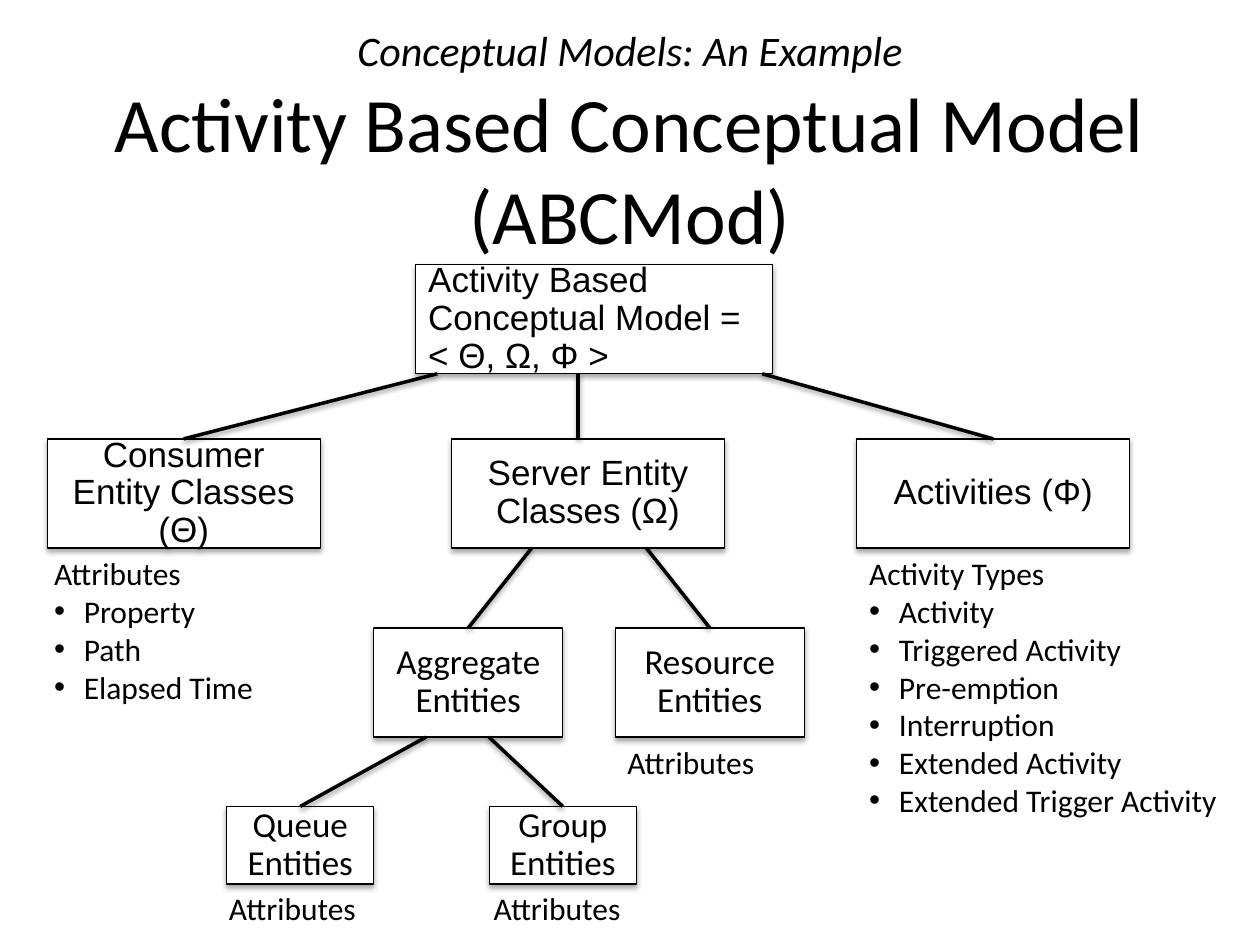
from lxml.etree import SubElement
from pptx import Presentation
from pptx.dml.color import RGBColor
from pptx.enum.shapes import MSO_CONNECTOR, MSO_SHAPE
from pptx.enum.text import MSO_ANCHOR, MSO_AUTO_SIZE, PP_ALIGN
from pptx.oxml.ns import qn
from pptx.util import Pt

COLORS = {"ink": "000000", "paper": "FFFFFF"}
TITLE = [("Conceptual Models: An Example", 24, True),
         ("Activity Based Conceptual Model (ABCMod)", 44, False)]

ROWS = [
    (151.2, 204, 62.4, "Arial", [
        ("root", 237.6, "Activity Based Conceptual Model = < Θ, Ω, Φ >")]),
    (250.8, 156, 62.4, "Arial", [
        ("consumer", 27, "Consumer Entity Classes (Θ)"),
        ("server", 258, "Server Entity Classes (Ω)"),
        ("activity", 489.6, "Activities (Φ)")]),
    (358.8, 108, 62.4, "Calibri", [
        ("aggregate", 213.6, "Aggregate Entities"),
        ("resource", 351.6, "Resource Entities")]),
    (460.8, 84, 44.4, "Calibri", [
        ("queue", 129.6, "Queue Entities"),
        ("group", 279.6, "Group Entities")]),
]

LISTS = [
    (23.8, 313.2, 129.6, "Attributes", ["Property", "Path", "Elapsed Time"]),
    (123.8, 504.7, 88.6, "Attributes", []),
    (275, 504.7, 88.6, "Attributes", []),
    (351.4, 421.2, 88.6, "Attributes", []),
    (489.6, 313.2, 215.3, "Activity Types",
     ["Activity", "Triggered Activity", "Pre-emption", "Interruption",
      "Extended Activity", "Extended Trigger Activity"]),
]

LINKS = [
    ("root", "consumer", 249.8, True),
    ("root", "server", 330.4, False),
    ("root", "activity", 435.6, True),
    ("server", "aggregate", 303.8, True),
    ("server", "resource", 369.4, True),
    ("aggregate", "queue", 243.4, True),
    ("aggregate", "group", 279.4, True),
]


def color(name):
    return RGBColor.from_string(COLORS[name])


def write(para, text, size=18, font="Calibri", italic=False,
          align=PP_ALIGN.LEFT, space=None, bullet=False):
    para.alignment = align
    if space:
        para.line_spacing = space
    if bullet:
        props = para._p.get_or_add_pPr()
        props.set("marL", str(Pt(17)))
        props.set("indent", str(-Pt(17)))
        SubElement(props, qn("a:buFont"), typeface="Arial")
        SubElement(props, qn("a:buChar"), char="•")
    run = para.add_run()
    run.text = text
    run.font.size = Pt(size)
    run.font.name = font
    run.font.italic = italic
    run.font.color.rgb = color("ink")


def shade(effects, alpha, gap):
    glow = SubElement(effects, qn("a:outerShdw"), blurRad=str(Pt(3.1)),
                      dist=str(Pt(gap)), dir="5400000", rotWithShape="0")
    tone = SubElement(glow, qn("a:srgbClr"), val=COLORS["ink"])
    SubElement(tone, qn("a:alpha"), val=str(alpha * 1000))


def add_box(slide, left, top, width, height, text, font, align):
    box = slide.shapes.add_shape(MSO_SHAPE.RECTANGLE, Pt(left), Pt(top),
                                 Pt(width), Pt(height))
    box.fill.solid()
    box.fill.fore_color.rgb = color("paper")
    box.line.color.rgb = color("ink")
    box.line.width = Pt(0.75)
    box.shadow.inherit = False
    shade(box._element.spPr.find(qn("a:effectLst")), 35, 1.8)
    frame = box.text_frame
    frame.word_wrap = True
    frame.vertical_anchor = MSO_ANCHOR.MIDDLE
    write(frame.paragraphs[0], text, size=20, font=font, align=align, space=0.9)
    return box


def add_list(slide, left, top, width, head, items):
    height = 7.2 + 21.6 * (len(items) + 1)
    frame = slide.shapes.add_textbox(Pt(left), Pt(top), Pt(width),
                                     Pt(height)).text_frame
    frame.word_wrap = False
    frame.auto_size = MSO_AUTO_SIZE.SHAPE_TO_FIT_TEXT
    write(frame.paragraphs[0], head)
    for item in items:
        write(frame.add_paragraph(), item, bullet=True)


def add_link(slide, parent, child, start, centred):
    low = parent.top + parent.height
    link = slide.shapes.add_connector(MSO_CONNECTOR.STRAIGHT, Pt(start), low,
                                      Pt(start), child.top)
    if centred:
        link.end_connect(child, 0)
    link.line.color.rgb = color("ink")
    link.line.width = Pt(2)
    shade(SubElement(link._element.spPr, qn("a:effectLst")), 38, 1.6)


def main():
    deck = Presentation()
    deck.slide_width, deck.slide_height = Pt(720), Pt(540)
    slide = deck.slides.add_slide(deck.slide_layouts[6])

    frame = slide.shapes.add_textbox(Pt(36), Pt(12.2), Pt(648),
                                     Pt(138.2)).text_frame
    frame.word_wrap = True
    frame.vertical_anchor = MSO_ANCHOR.MIDDLE
    para = frame.paragraphs[0]
    for pos, (text, size, italic) in enumerate(TITLE):
        if pos:
            para.add_line_break()
        write(para, text, size=size, italic=italic, align=PP_ALIGN.CENTER)

    boxes = {}
    for top, width, height, font, cells in ROWS:
        for name, left, text in cells:
            align = PP_ALIGN.LEFT if name == "root" else PP_ALIGN.CENTER
            boxes[name] = add_box(slide, left, top, width, height,
                                  text, font, align)
    for entry in LISTS:
        add_list(slide, *entry)
    for parent, child, start, centred in LINKS:
        add_link(slide, boxes[parent], boxes[child], start, centred)
    deck.save("out.pptx")


if __name__ == "__main__":
    main()
